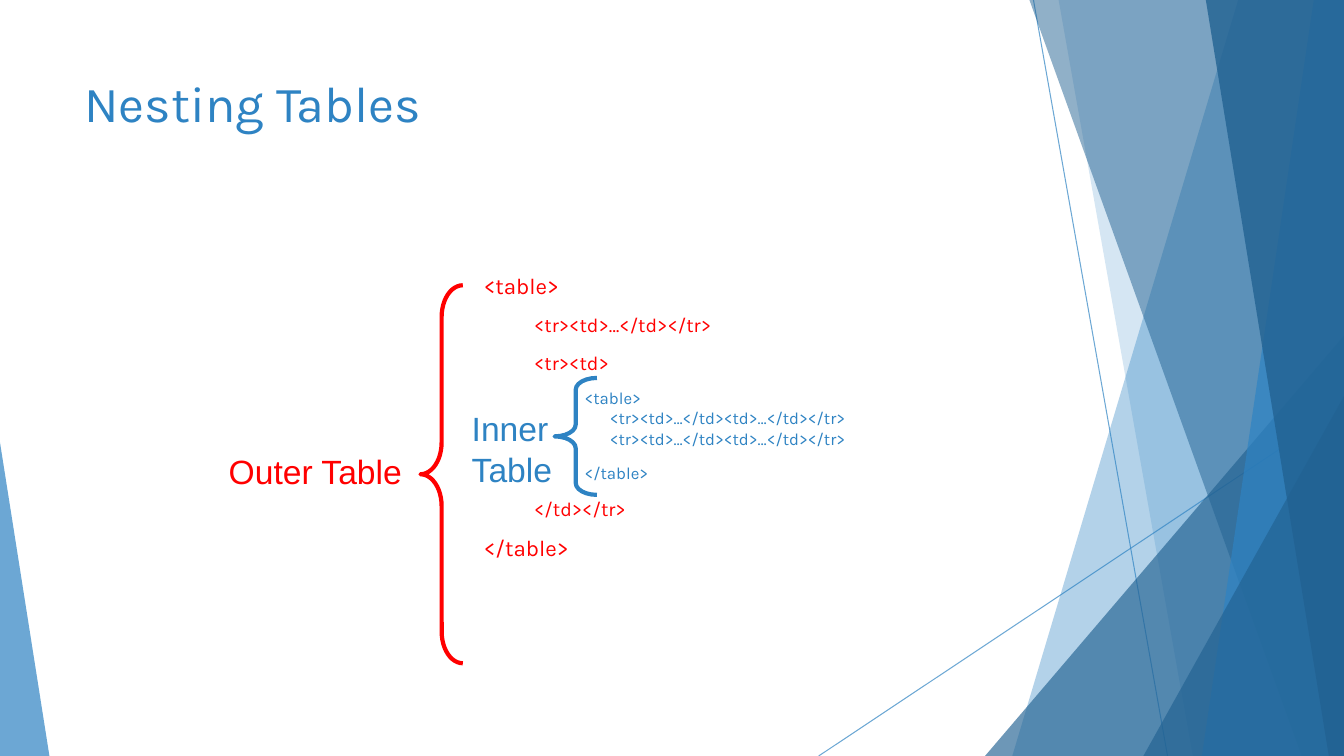
from lxml import etree
from pptx import Presentation
from pptx.dml.color import RGBColor
from pptx.enum.shapes import MSO_CONNECTOR, MSO_SHAPE
from pptx.oxml.ns import qn
from pptx.util import Inches, Pt

STRAIGHT = MSO_CONNECTOR.STRAIGHT
TRIANGLE = MSO_SHAPE.ISOSCELES_TRIANGLE
BRACE = MSO_SHAPE.LEFT_BRACE
BLUE, NAVY, RED = "2E83C3", "226292", "FF0000"
W, H = 13.33, 7.5


def paint(fill, color, opacity=100):
    fill.solid()
    fill.fore_color.rgb = RGBColor.from_string(color)
    if opacity < 100:
        clr = fill._xPr.find(qn("a:solidFill"))[0]
        etree.SubElement(clr, qn("a:alpha")).set("val", str(opacity * 1000))


def add_run(p, text, size, font, color):
    r = p.add_run()
    r.text = text
    r.font.size = Pt(size)
    r.font.name = font
    paint(r.font.fill, color)


prs = Presentation()
prs.slide_width, prs.slide_height = Inches(W), Inches(H)
s = prs.slides.add_slide(prs.slide_layouts[6])

for x1, y1, x2, y2 in [(10.25, 0, 11.58, H), (W, 4.03, 8.12, H)]:
    line = s.shapes.add_connector(STRAIGHT, Inches(x1), Inches(y1), Inches(x2), Inches(y2))
    line.line.width = Pt(0.75)
    paint(line.line.fill, BLUE, 70)
    etree.SubElement(line._element.spPr, qn("a:effectLst"))

facets = [
    ("band", (12.28, 10.04), BLUE, 36),
    ("band", (10.5, 11.83), BLUE, 20),
    ("triangle", (9.77, 3.33, 3.56, 1), NAVY, 66),
    ("band", (10.21, 12.91), NAVY, 50),
    ("band", (13.03, 11.92), BLUE, 70),
    ("band", (11.96, 13.18), NAVY, 80),
    ("triangle", (11.34, 3.93, 1.99, 1), NAVY, 66),
    ("triangle", (0, 4.39, 0.49, 0), BLUE, 70),
]
for kind, geometry, color, opacity in facets:
    if kind == "band":
        top_x, bottom_x = geometry
        fb = s.shapes.build_freeform(Inches(top_x), 0)
        fb.add_line_segments([(Inches(x), Inches(y)) for x, y in [(W, 0), (W, H), (bottom_x, H)]])
        sp = fb.convert_to_shape()
    else:
        x, y, w, apex = geometry
        sp = s.shapes.add_shape(TRIANGLE, Inches(x), Inches(y), Inches(w), Inches(H - y))
        sp.adjustments[0] = apex
    sp.shadow.inherit = False
    paint(sp.fill, color, opacity)
    sp.line.fill.background()

labels = [
    (0.74, 0.67, 9.4, 1.44, ["Nesting Tables"], 36, "Karla", BLUE),
    (2.17, 4.42, 1.96, 0.5, ["Outer Table"], 24, "Arial", RED),
    (4.58, 4, 1.01, 0.91, ["Inner", "Table"], 24, "Arial", BLUE),
]
for x, y, w, h, lines, size, font, color in labels:
    tf = s.shapes.add_textbox(Inches(x), Inches(y), Inches(w), Inches(h)).text_frame
    tf.word_wrap = True
    for i, text in enumerate(lines):
        p = tf.add_paragraph() if i else tf.paragraphs[0]
        add_run(p, text, size, font, color)

row = "<tr><td>…</td><td>…</td></tr>"
levels = {1: (0.81, 0.31, 16, RED), 2: (1.25, 0.25, 14, RED), 3: (1.75, 0.25, 12, BLUE)}
code = [
    (1, ["<table>"]),
    (2, ["<tr><td>…</td></tr>"]),
    (2, ["<tr><td>"]),
    (3, ["<table>", row, row]),
    (3, ["</table>"]),
    (2, ["</td></tr>"]),
    (1, ["</table>"]),
]
tf = s.shapes.add_textbox(Inches(4.2), Inches(2.65), Inches(7), Inches(3.77)).text_frame
tf.word_wrap = True
for i, (level, lines) in enumerate(code):
    margin, hanging, size, color = levels[level]
    p = tf.add_paragraph() if i else tf.paragraphs[0]
    p.space_before = Pt(10 if i else 0)
    pPr = p._p.get_or_add_pPr()
    pPr.set("marL", str(Inches(margin)))
    pPr.set("indent", str(-Inches(hanging)))
    for j, text in enumerate(lines):
        if j:
            p.add_line_break()
        add_run(p, text, size, "Karla", color)

for x, y, h, curl, color in [(5.5, 3.75, 1.16, 0.28, BLUE), (4.17, 2.83, 3.75, 0.75, RED)]:
    sp = s.shapes.add_shape(BRACE, Inches(x), Inches(y), Inches(0.42), Inches(h))
    sp.adjustments[0] = curl
    sp.shadow.inherit = False
    sp.fill.background()
    sp.line.width = Pt(3)
    paint(sp.line.fill, color)

prs.save("out.pptx")
